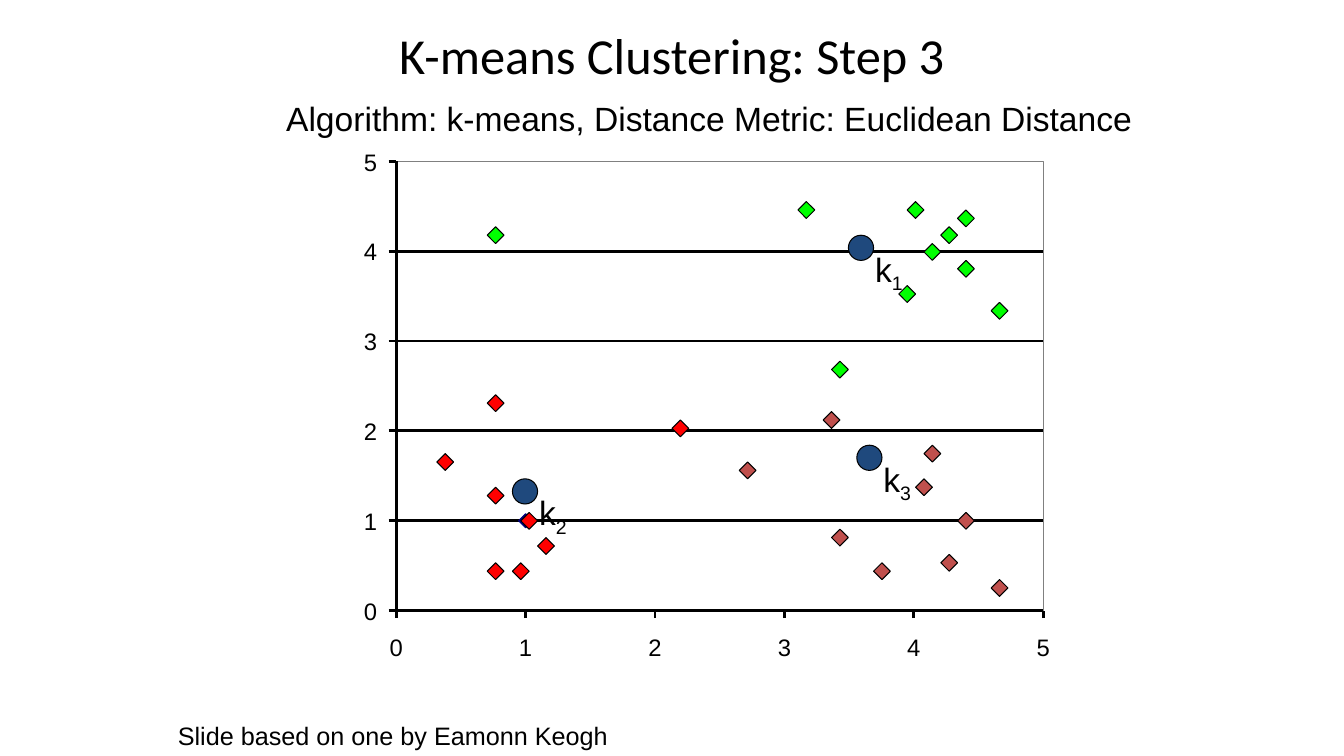
from dataclasses import dataclass

from lxml.etree import SubElement
from pptx import Presentation
from pptx.dml.color import RGBColor
from pptx.enum.shapes import MSO_CONNECTOR, MSO_SHAPE
from pptx.enum.text import MSO_ANCHOR, MSO_AUTO_SIZE, PP_ALIGN
from pptx.oxml.ns import qn
from pptx.util import Pt


@dataclass(frozen=True)
class Theme:
    black: str = "000000"
    white: str = "FFFFFF"
    frame: str = "808080"
    centroid: str = "1F497D"
    start_point: str = "000080"
    green: str = "00FF00"
    red: str = "FF0000"
    brown: str = "C0504D"
    heading_font: str = "Calibri"
    body_font: str = "Arial"
    title_size: float = 36
    body_size: float = 24
    credit_size: float = 18
    tick_size: float = 17


THEME = Theme()

# Plot area in points, with axes running from 0 to 5
LEFT, TOP = 283, 115.2
STEP_X, STEP_Y = 92.44, 64.2
AXIS_MAX = 5
WIDTH, HEIGHT = AXIS_MAX * STEP_X, AXIS_MAX * STEP_Y
RIGHT, BOTTOM = LEFT + WIDTH, TOP + HEIGHT
TICK = 5.4
POINT_SIZE, CENTROID_SIZE, START_SIZE = 12, 18, 10

# Left and top of each data point, by cluster colour
CLUSTERS = {
    THEME.red: [(372, 366), (384, 384), (366, 402), (348, 348), (348, 282),
                (348, 402), (312, 324), (480, 300)],
    THEME.green: [(348, 162), (648, 144), (684, 150), (672, 162), (660, 174),
                  (684, 186), (708, 216), (570, 144), (594, 258), (642, 204)],
    THEME.brown: [(594, 378), (624, 402), (654, 342), (588, 294), (528, 330),
                  (684, 366), (672, 396), (660, 318), (708, 414)],
}
CENTROIDS = {"1": (606, 168), "2": (366, 342), "3": (612, 318)}


def add_figure(shapes, kind, left, top, width, height, fill=None,
               outline=None, weight=0.75):
    figure = shapes.add_shape(kind, Pt(left), Pt(top), Pt(width), Pt(height))
    figure.shadow.inherit = False
    if fill:
        figure.fill.solid()
        figure.fill.fore_color.rgb = RGBColor.from_string(fill)
    else:
        figure.fill.background()
    if outline:
        figure.line.color.rgb = RGBColor.from_string(outline)
        figure.line.width = Pt(weight)
    else:
        figure.line.fill.background()


def add_rule(shapes, x1, y1, x2, y2):
    rule = shapes.add_connector(MSO_CONNECTOR.STRAIGHT,
                                Pt(x1), Pt(y1), Pt(x2), Pt(y2))
    rule.line.color.rgb = RGBColor.from_string(THEME.black)
    rule.line.width = Pt(0)
    SubElement(rule._element.spPr, qn("a:effectLst"))


def add_label(shapes, text, left, top, width, height, size,
              font=THEME.body_font, wrap=False, margin=None):
    label = shapes.add_textbox(Pt(left), Pt(top), Pt(width), Pt(height))
    frame = label.text_frame
    frame.word_wrap = wrap
    frame.auto_size = MSO_AUTO_SIZE.SHAPE_TO_FIT_TEXT
    if margin is not None:
        frame.margin_left = frame.margin_right = Pt(margin)
        frame.margin_top = frame.margin_bottom = Pt(margin)
    paragraph = frame.paragraphs[0]
    paragraph.add_run().text = text
    paragraph.font.name = font
    paragraph.font.size = Pt(size)
    paragraph.font.color.rgb = RGBColor.from_string(THEME.black)
    return frame


def add_tick_label(shapes, value, left, top):
    add_label(shapes, str(value), left, top, 9.4, 21, THEME.tick_size, margin=0)


def add_axes(shapes):
    add_figure(shapes, MSO_SHAPE.RECTANGLE, LEFT, TOP, WIDTH, HEIGHT, THEME.white)
    add_figure(shapes, MSO_SHAPE.RECTANGLE, LEFT, TOP, WIDTH, HEIGHT,
               outline=THEME.frame, weight=0.63)
    add_rule(shapes, LEFT, TOP, LEFT, BOTTOM)
    add_rule(shapes, LEFT, BOTTOM, RIGHT, BOTTOM)
    for value in range(AXIS_MAX + 1):
        x, y = LEFT + value * STEP_X, BOTTOM - value * STEP_Y
        if 0 < value < AXIS_MAX:
            add_rule(shapes, LEFT, y, RIGHT, y)
        add_rule(shapes, LEFT - TICK, y, LEFT, y)
        add_rule(shapes, x, BOTTOM + TICK, x, BOTTOM)
        add_tick_label(shapes, value, LEFT - 23, y - 10)
        add_tick_label(shapes, value, x - 4.7, BOTTOM + 16)


def add_point(shapes, left, top, fill, outline=THEME.black, size=POINT_SIZE):
    add_figure(shapes, MSO_SHAPE.DIAMOND, left, top, size, size, fill, outline)


def add_centroid(shapes, number, left, top):
    members = shapes.add_group_shape().shapes
    add_figure(members, MSO_SHAPE.OVAL, left, top, CENTROID_SIZE, CENTROID_SIZE,
               THEME.centroid, THEME.black)
    name = add_label(members, "k", left + 12, top + 6, 42, 36,
                     THEME.body_size, wrap=True)
    subscript = name.paragraphs[0].add_run()
    subscript.text = number
    subscript._r.get_or_add_rPr().set("baseline", "-25000")


def main():
    presentation = Presentation()
    presentation.slide_width, presentation.slide_height = Pt(960), Pt(540)
    slide = presentation.slides.add_slide(presentation.slide_layouts[6])
    shapes = slide.shapes

    # Plot frame, grid and scales
    add_axes(shapes)
    add_point(shapes, LEFT + STEP_X - START_SIZE / 2,
              BOTTOM - STEP_Y - START_SIZE / 2,
              THEME.start_point, THEME.start_point, START_SIZE)

    # Headings
    title = add_label(shapes, "K-means Clustering: Step 3", 174, 18, 612, 42,
                      THEME.title_size, THEME.heading_font, wrap=True)
    title.auto_size = MSO_AUTO_SIZE.NONE
    title.vertical_anchor = MSO_ANCHOR.MIDDLE
    title.paragraphs[0].alignment = PP_ALIGN.CENTER
    add_label(shapes, "Algorithm: k-means, Distance Metric: Euclidean Distance",
              197.3, 66.2, 625, 36, THEME.body_size)

    # Cluster centres and their points
    for number, (left, top) in CENTROIDS.items():
        add_centroid(shapes, number, left, top)
    for colour, points in CLUSTERS.items():
        for left, top in points:
            add_point(shapes, left, top, colour)

    # Credit
    add_label(shapes, "Slide based on one by Eamonn Keogh",
              120, 511.2, 335, 28.8, THEME.credit_size)

    presentation.save("out.pptx")


if __name__ == "__main__":
    main()
